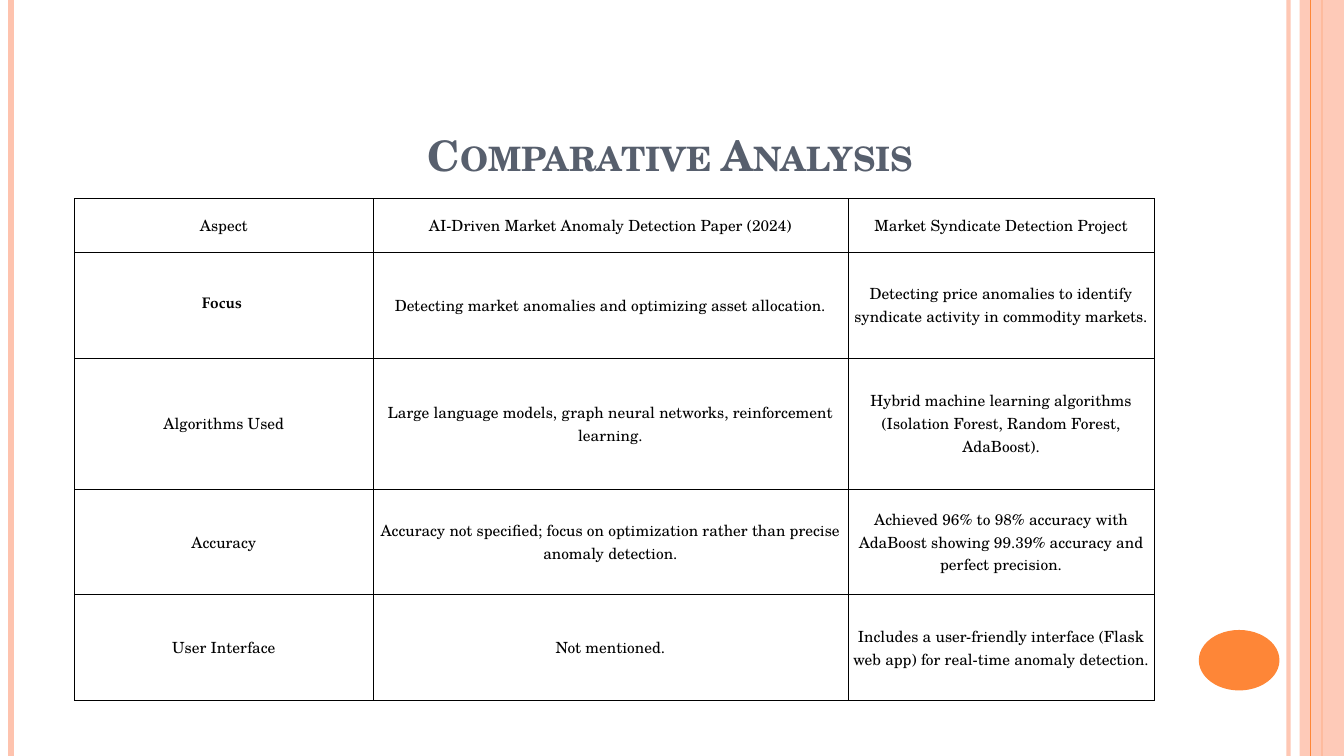
"""Build the comparative analysis slide with its tables and edge stripes."""
from typing import NamedTuple, Optional

from lxml.etree import SubElement
from pptx import Presentation
from pptx.dml.color import RGBColor
from pptx.enum.shapes import MSO_CONNECTOR, MSO_SHAPE
from pptx.enum.text import MSO_ANCHOR as Anchor, PP_ALIGN as Align
from pptx.oxml.ns import qn
from pptx.util import Inches, Pt

SERIF, ALTERNATE = "TeX Gyre Schola", "TeX Gyre Pagella"
PEACH, ORANGE, SLATE, BLACK = "FEC3AE", "FE8637", "575F6D", "000000"
SLIDE_WIDTH, SLIDE_HEIGHT = 13.33, 7.5


class Stripe(NamedTuple):
    x: float
    color: str
    width: float
    opacity: Optional[int] = None


class Block(NamedTuple):
    kind: MSO_SHAPE
    left: float
    top: float
    width: float
    height: float
    color: str
    opacity: Optional[int] = None


class Grid(NamedTuple):
    left: float
    top: float
    columns: list[float]
    rows: list[float]
    border: Optional[str] = None


STRIPES_BELOW = [
    Stripe(12.78, PEACH, 3, 93),
    Stripe(0.11, PEACH, 4.5),
    Stripe(13.11, ORANGE, 1.5),
]
EDGE_BAND = Block(MSO_SHAPE.RECTANGLE, 12.89, 0, 0.44, SLIDE_HEIGHT, PEACH, 87)
BAND_STRIPE = Stripe(13, ORANGE, 0.75)
NUMBER_DISC = Block(MSO_SHAPE.OVAL, 11.89, 6.25, 0.8, 0.6, ORANGE)

EMPTY_GRID = Grid(3.89, 0.79, [1.87] * 4, [0.69, 1.51, 1.51, 1.51, 1.31])
COMPARISON_GRID = Grid(
    0.74, 1.97, [2.96, 4.71, 3.04], [0.53, 1.05, 1.3, 1.05, 1.05], BLACK)
COMPARISON = [
    ("Aspect", "AI-Driven Market Anomaly Detection Paper (2024)",
     "Market Syndicate Detection Project"),
    ("Focus ", "Detecting market anomalies and optimizing asset allocation.",
     "Detecting price anomalies to identify syndicate activity in commodity markets."),
    ("Algorithms Used",
     "Large language models, graph neural networks, reinforcement learning.",
     "Hybrid machine learning algorithms (Isolation Forest, Random Forest, AdaBoost)."),
    ("Accuracy",
     "Accuracy not specified; focus on optimization rather than precise anomaly detection.",
     "Achieved 96% to 98% accuracy with AdaBoost showing 99.39% accuracy and perfect precision."),
    ("User Interface", "Not mentioned.",
     "Includes a user-friendly interface (Flask web app) for real-time anomaly detection."),
]


def rgb(color: str) -> RGBColor:
    return RGBColor.from_string(color)


def set_opacity(properties, percent: Optional[int]) -> None:
    if percent is not None:
        color = next(properties.iter(qn("a:srgbClr")))
        SubElement(color, qn("a:alpha"), val=str(percent * 1000))


def add_stripe(slide, stripe: Stripe) -> None:
    x = Inches(stripe.x)
    connector = slide.shapes.add_connector(
        MSO_CONNECTOR.STRAIGHT, x, 0, x, Inches(SLIDE_HEIGHT))
    connector.line.color.rgb = rgb(stripe.color)
    connector.line.width = Pt(stripe.width)
    properties = connector._element.spPr
    set_opacity(properties, stripe.opacity)
    SubElement(properties, qn("a:effectLst"))


def add_block(slide, block: Block) -> None:
    shape = slide.shapes.add_shape(
        block.kind, Inches(block.left), Inches(block.top),
        Inches(block.width), Inches(block.height))
    shape.shadow.inherit = False
    shape.fill.solid()
    shape.fill.fore_color.rgb = rgb(block.color)
    shape.line.fill.background()
    set_opacity(shape._element.spPr, block.opacity)


def style_paragraph(paragraph, size: float, color: str, font: str, bold: bool) -> None:
    paragraph.alignment = Align.CENTER
    paragraph.font.size = Pt(size)
    paragraph.font.name = font
    paragraph.font.bold = bold
    paragraph.font.color.rgb = rgb(color)


def format_title(title) -> None:
    title.left, title.top = Inches(0.74), Inches(0.77)
    title.width, title.height = Inches(11.91), Inches(1.08)
    frame = title.text_frame
    frame.text = "Comparative Analysis "
    frame.vertical_anchor = Anchor.BOTTOM
    frame.margin_bottom = Inches(0.06)
    paragraph = frame.paragraphs[0]
    style_paragraph(paragraph, 30, SLATE, SERIF, True)
    paragraph.runs[0].font._element.set("cap", "small")


def set_borders(cell, color: Optional[str]) -> None:
    properties = cell._tc.get_or_add_tcPr()
    for position, side in enumerate(("a:lnL", "a:lnR", "a:lnT", "a:lnB")):
        line = properties.makeelement(qn(side), {"w": str(Pt(0.5))})
        if color:
            fill = SubElement(line, qn("a:solidFill"))
            SubElement(fill, qn("a:srgbClr"), val=color)
        else:
            SubElement(line, qn("a:noFill"))
        properties.insert(position, line)


def add_grid(slide, grid: Grid):
    table = slide.shapes.add_table(
        len(grid.rows), len(grid.columns), Inches(grid.left), Inches(grid.top),
        Inches(sum(grid.columns)), Inches(sum(grid.rows))).table
    table.first_row = table.horz_banding = False
    for column, width in zip(table.columns, grid.columns):
        column.width = Inches(width)
    for row, height in zip(table.rows, grid.rows):
        row.height = Inches(height)
    for cell in table.iter_cells():
        cell.fill.background()
        set_borders(cell, grid.border)
    return table


def fill_cell(cell, text: str) -> None:
    focus = text.startswith("Focus")
    cell.vertical_anchor = Anchor.MIDDLE
    cell.margin_left = cell.margin_right = cell.margin_top = Inches(0.01)
    cell.margin_bottom = Inches(0.09 if focus else 0.01)
    cell.text = text
    paragraph = cell.text_frame.paragraphs[0]
    style_paragraph(paragraph, 11, BLACK, ALTERNATE if focus else SERIF, focus)
    paragraph.line_spacing = Pt(16.4)


def main() -> None:
    presentation = Presentation()
    presentation.slide_width = Inches(SLIDE_WIDTH)
    presentation.slide_height = Inches(SLIDE_HEIGHT)
    slide = presentation.slides.add_slide(presentation.slide_layouts[5])
    for stripe in STRIPES_BELOW:
        add_stripe(slide, stripe)
    add_block(slide, EDGE_BAND)
    add_stripe(slide, BAND_STRIPE)
    add_block(slide, NUMBER_DISC)
    format_title(slide.shapes.title)
    add_grid(slide, EMPTY_GRID)
    table = add_grid(slide, COMPARISON_GRID)
    for row, texts in zip(table.rows, COMPARISON):
        for cell, text in zip(row.cells, texts):
            fill_cell(cell, text)
    presentation.save("out.pptx")


if __name__ == "__main__":
    main()
